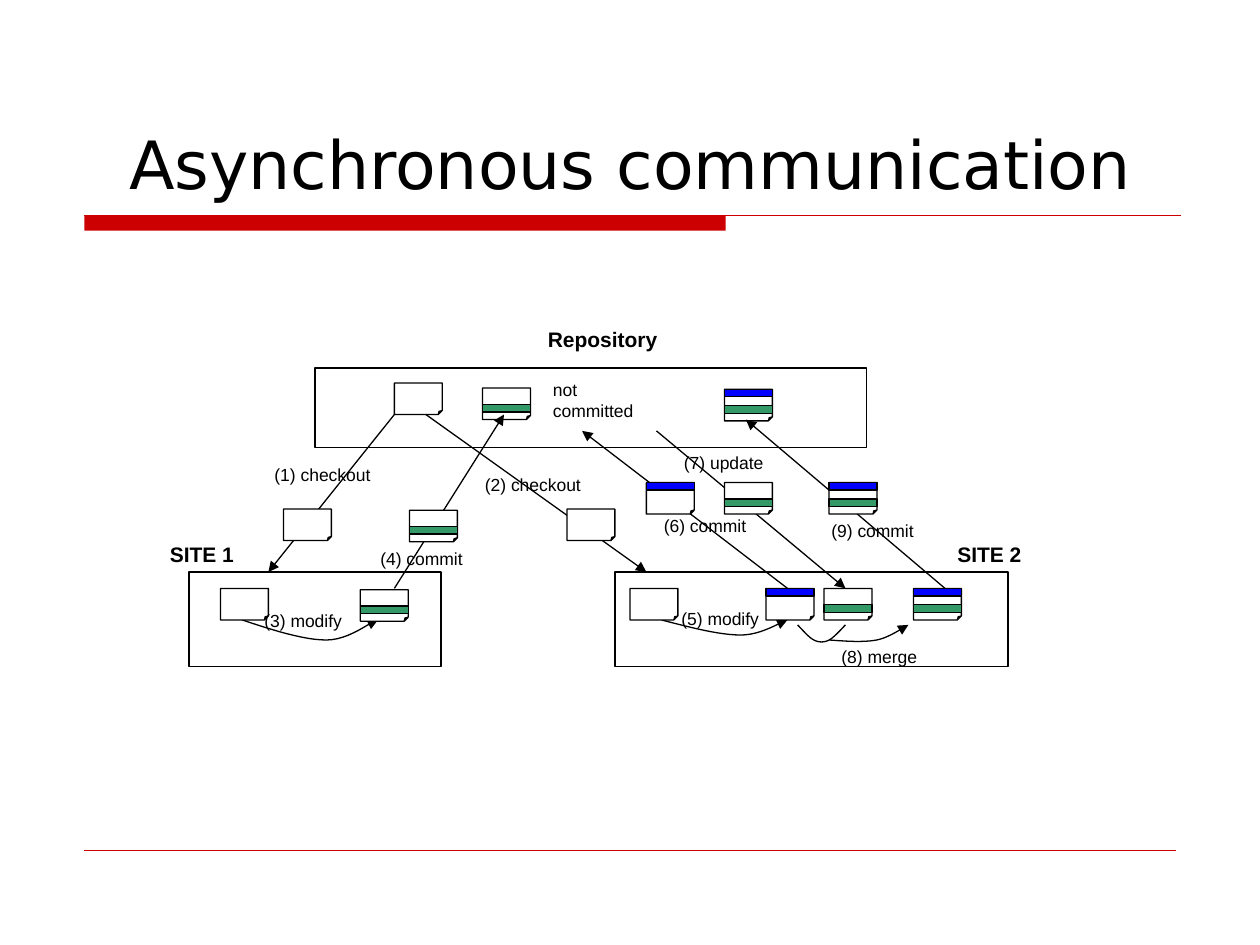
from lxml.etree import SubElement
from pptx import Presentation
from pptx.dml.color import RGBColor
from pptx.enum.shapes import MSO_CONNECTOR, MSO_SHAPE
from pptx.enum.text import MSO_ANCHOR, PP_ALIGN
from pptx.oxml.ns import qn
from pptx.util import Inches, Pt

COLORS = {"black": "000000", "white": "FFFFFF", "red": "CC0000",
          "green": "339966", "blue": "0000FF"}
CARD_WIDTH, CARD_HEIGHT, BAND_HEIGHT = 0.38, 0.25, 0.06
BAND_OFFSETS = {"green": 0.13, "blue": 0}
CURVE_STEPS = 12


def write(frame, text, size=10, font="Arial", bold=False, align=PP_ALIGN.LEFT,
          anchor=MSO_ANCHOR.TOP):
    frame.word_wrap = True
    frame.vertical_anchor = anchor
    paragraph = frame.paragraphs[0]
    paragraph.alignment = align
    run = paragraph.add_run()
    run.text = text
    run.font.size = Pt(size)
    run.font.name = font
    run.font.bold = bold
    run.font.color.rgb = RGBColor.from_string(COLORS["black"])


def add_block(shapes, kind, left, top, width, height, fill="white", line="black"):
    """Add a filled, thinly outlined preset shape without a shadow."""
    block = shapes.add_shape(kind, Inches(left), Inches(top), Inches(width), Inches(height))
    block.shadow.inherit = False
    block.fill.solid()
    block.fill.fore_color.rgb = RGBColor.from_string(COLORS[fill])
    block.line.color.rgb = RGBColor.from_string(COLORS[line])
    block.line.width = Pt(0.75)
    return block


prs = Presentation()
prs.slide_width, prs.slide_height = Inches(10), Inches(7.5)
slide = prs.slides.add_slide(prs.slide_layouts[5])
shapes = slide.shapes

title = shapes.title
title.left, title.top = Inches(0.63), Inches(0.33)
title.width, title.height = Inches(8.75), Inches(1.33)
write(title.text_frame, "Asynchronous communication", size=38, font="DejaVu Sans",
      align=PP_ALIGN.CENTER, anchor=MSO_ANCHOR.BOTTOM)

title_bar = add_block(shapes, MSO_SHAPE.RECTANGLE, 0.67, 1.71, 5.09, 0.12, "red", "red")
title_bar.line.fill.background()

# Site 2, repository, site 1
for area in [(4.88, 4.54, 3.12, 0.75), (2.5, 2.92, 4.38, 0.63), (1.5, 4.54, 2, 0.75)]:
    add_block(shapes, MSO_SHAPE.RECTANGLE, *area)

# Each stroke: shape, colour, width in points, whether it ends in an arrowhead
strokes = []
repository_cards = [(3.13, 3.04, []), (3.83, 3.08, ["green"]),
                    (5.75, 3.09, ["green", "blue"])]
working_cards = [
    (2.25, 4.04, []), (4.5, 4.04, []), (1.75, 4.67, []), (5, 4.67, []),
    (3.25, 4.05, ["green"]), (2.86, 4.68, ["green"]),
    (5.75, 3.83, ["green"]), (6.54, 4.67, ["green"]),
    (5.13, 3.83, ["blue"]), (6.08, 4.67, ["blue"]),
    (6.58, 3.83, ["green", "blue"]), (7.25, 4.67, ["green", "blue"]),
]
rules = [(0.67, 1.71, 9.37, 1.71, "red", 0.75, False),
         (0.67, 6.75, 9.33, 6.75, "red", 0.25, False)]
transfers = [
    (3.13, 3.29, 2.13, 4.54),  # (1) checkout
    (3.38, 3.29, 5.13, 4.54),  # (2) checkout
    (3.13, 4.67, 4, 3.29),     # (4) commit
    (6.25, 4.67, 4.62, 3.42),  # (6) commit
    (5.21, 3.42, 6.71, 4.67),  # (7) update
    (7.5, 4.67, 5.92, 3.33),   # (9) commit
]
# Bezier control points: a start, then three points for each segment
curves = [
    ([(1.92, 4.92), (2.16, 5), (2.41, 5.08), (2.59, 5.08),
      (2.77, 5.08), (2.93, 4.94), (3, 4.92)], True),
    ([(5.25, 4.92), (5.48, 4.98), (5.71, 5.04), (5.88, 5.04),
      (6.04, 5.04), (6.19, 4.94), (6.25, 4.92)], True),
    ([(6.33, 4.96), (6.38, 5.01), (6.42, 5.06), (6.46, 5.08), (6.5, 5.1),
      (6.54, 5.1), (6.58, 5.08), (6.62, 5.06), (6.69, 4.98), (6.71, 4.96)], False),
    ([(6.58, 5.08), (6.72, 5.09), (6.85, 5.1), (6.96, 5.08),
      (7.06, 5.06), (7.17, 4.98), (7.21, 4.96)], True),
]

# Arrows run over the repository cards and under the working ones
for cards, lines, bends in [
    (repository_cards, rules + [(*ends, "black", 0.75, True) for ends in transfers], curves),
    (working_cards, [], []),
]:
    for left, top, bands in cards:
        holder = shapes.add_group_shape().shapes if bands else shapes
        sheet = add_block(holder, MSO_SHAPE.FOLDED_CORNER, left, top, CARD_WIDTH, CARD_HEIGHT)
        fold = sheet._element.spPr.find(qn("a:prstGeom")).find(qn("a:avLst"))
        SubElement(fold, qn("a:gd"), name="adj", fmla="val 12500")
        for band in bands:
            add_block(holder, MSO_SHAPE.RECTANGLE, left, top + BAND_OFFSETS[band],
                      CARD_WIDTH, BAND_HEIGHT, band)

    for x1, y1, x2, y2, color, width, arrow in lines:
        connector = shapes.add_connector(MSO_CONNECTOR.STRAIGHT, Inches(x1), Inches(y1),
                                         Inches(x2), Inches(y2))
        strokes.append((connector, color, width, arrow))

    for controls, arrow in bends:
        points = []
        for i in range(0, len(controls) - 1, 3):
            a, b, c, d = controls[i:i + 4]
            for step in range(1, CURVE_STEPS + 1):
                t = step / CURVE_STEPS
                u = 1 - t
                points.append([Inches(u**3 * a[k] + 3 * u * u * t * b[k]
                                      + 3 * u * t * t * c[k] + t**3 * d[k]) for k in (0, 1)])
        builder = shapes.build_freeform(Inches(controls[0][0]), Inches(controls[0][1]))
        builder.add_line_segments(points, close=False)
        bend = builder.convert_to_shape()
        bend.fill.background()
        strokes.append((bend, "black", 0.75, arrow))

for stroke, color, width, arrow in strokes:
    stroke.line.color.rgb = RGBColor.from_string(COLORS[color])
    stroke.line.width = Pt(width)
    properties = stroke._element.spPr
    if arrow:
        SubElement(properties.find(qn("a:ln")), qn("a:tailEnd"), type="triangle")
    SubElement(properties, qn("a:effectLst"))

heading = {"size": 12, "bold": True}
for text, left, top, width, height, style in [
    ("Repository", 4.25, 2.54, 1.17, 0.37, heading),
    ("SITE 1", 1.25, 4.25, 1.13, 0.29, heading),
    ("SITE 2", 7.5, 4.25, 1.13, 0.29, heading),
    ("not committed", 4.29, 2.96, 0.87, 0.5, {}),
    ("(1) checkout", 2.08, 3.63, 1, 0.37, {}),
    ("(2) checkout", 3.75, 3.71, 1, 0.37, {}),
    ("(3) modify", 2, 4.79, 1, 0.37, {}),
    ("(4) commit", 2.92, 4.3, 1, 0.37, {}),
    ("(5) modify", 5.31, 4.78, 1, 0.37, {}),
    ("(6) commit", 5.17, 4.04, 1, 0.37, {}),
    ("(7) update", 5.33, 3.54, 1, 0.37, {}),
    ("(8) merge", 6.58, 5.08, 1, 0.37, {}),
    ("(9) commit", 6.5, 4.08, 1, 0.37, {}),
]:
    label = shapes.add_textbox(Inches(left), Inches(top), Inches(width), Inches(height))
    write(label.text_frame, text, **style)

prs.save("out.pptx")
